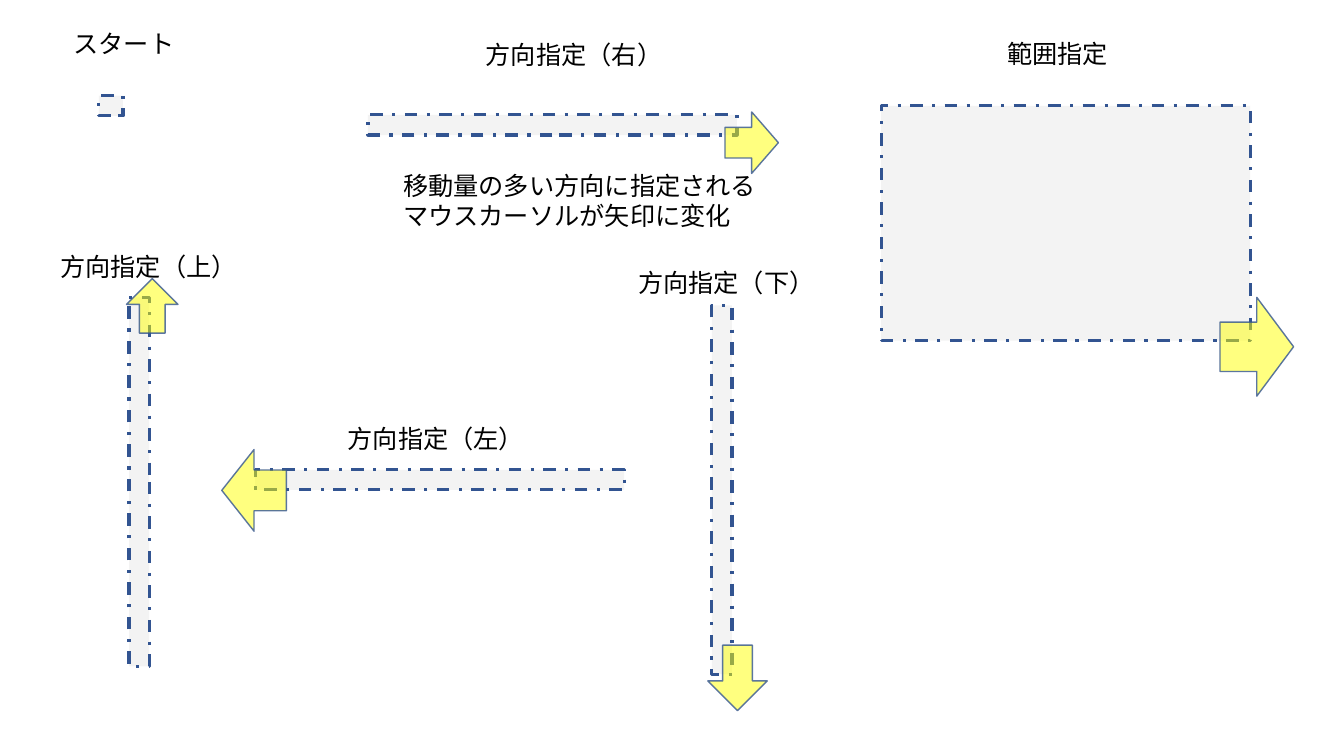
from lxml import etree
from pptx import Presentation
from pptx.dml.color import RGBColor
from pptx.enum.dml import MSO_LINE
from pptx.enum.shapes import MSO_SHAPE
from pptx.enum.text import MSO_AUTO_SIZE
from pptx.oxml.ns import qn
from pptx.util import Pt

RECT = MSO_SHAPE.RECTANGLE
ARROW = MSO_SHAPE.LEFT_ARROW
DASH = MSO_LINE.DASH_DOT
GROW = MSO_AUTO_SIZE.SHAPE_TO_FIT_TEXT

COLORS = {"frame": "D9D9D9", "arrow": "FFFF00", "line": "325491", "text": "000000"}
FONT = "Noto Sans CJK JP"
SCALE = 9144

FRAMES = [
    (98, 95, 24, 20, 0),
    (365, 114, 366, 20, 0),
    (874, 105, 366, 233, 0),
    (-45, 468, 366, 20, 270),
    (253, 466, 366, 20, 180),
    (533, 476, 366, 20, 90),
]
ARROWS = [
    (719, 111, 53, 61, 180),
    (1210, 295, 73, 98, 180),
    (124, 278, 54, 51, 90),
    (220, 446, 64, 81, 0),
    (699, 643, 65, 59, 270),
]
LABELS = [
    ("スタート", 63, 23, 214, 40),
    ("方向指定（右）", 472, 34, 214, 40),
    ("範囲指定", 989, 33, 214, 40),
    ("移動量の多い方向に指定される\nマウスカーソルが矢印に変化", 390, 164, 419, 71),
    ("方向指定（上）", 50, 244, 214, 40),
    ("方向指定（左）", 335, 415, 214, 40),
    ("方向指定（下）", 623, 260, 214, 40),
]


def px(*sizes):
    return [size * SCALE for size in sizes]


def fade(fill, percent):
    color = fill._xPr.find(qn("a:solidFill"))[0]
    etree.SubElement(color, qn("a:alpha"), val=str(percent * 1000))


def add_form(slide, kind, box, color, alpha, width):
    shape = slide.shapes.add_shape(kind, *px(*box[:4]))
    shape.rotation = box[4]
    shape.shadow.inherit = False
    shape.fill.solid()
    shape.fill.fore_color.rgb = RGBColor.from_string(COLORS[color])
    fade(shape.fill, alpha)
    shape.line.color.rgb = RGBColor.from_string(COLORS["line"])
    shape.line.width = Pt(width)
    return shape


def add_label(slide, text, *box):
    frame = slide.shapes.add_textbox(*px(*box)).text_frame
    frame.word_wrap = True
    frame.auto_size = GROW
    frame.text = text
    for para in frame.paragraphs:
        for run in para.runs:
            run.font.size = Pt(18)
            run.font.name = FONT
            run.font.color.rgb = RGBColor.from_string(COLORS["text"])
            etree.SubElement(run.font._element, qn("a:ea"), typeface=FONT)


def main():
    deck = Presentation()
    deck.slide_width, deck.slide_height = px(1333, 750)
    slide = deck.slides.add_slide(deck.slide_layouts[6])
    for box in FRAMES:
        add_form(slide, RECT, box, "frame", 29, 2.25).line.dash_style = DASH
    for box in ARROWS:
        arrow = add_form(slide, ARROW, box, "arrow", 50, 1)
        fade(arrow.line.fill, 80)
    for label in LABELS:
        add_label(slide, *label)
    deck.save("out.pptx")


if __name__ == "__main__":
    main()
